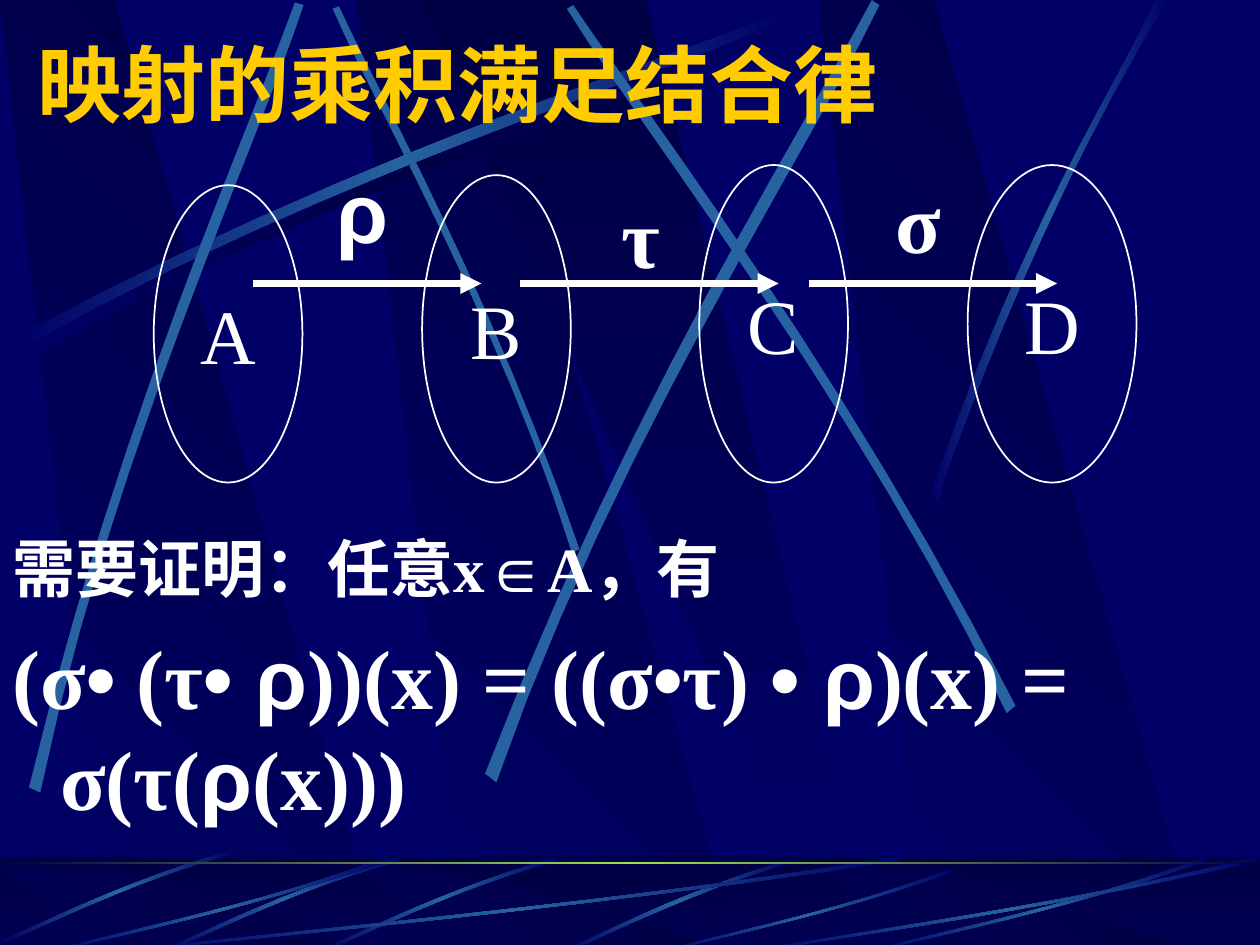
from lxml.etree import SubElement
from pptx import Presentation
from pptx.dml.color import RGBColor
from pptx.enum.shapes import MSO_CONNECTOR, MSO_SHAPE
from pptx.enum.text import MSO_ANCHOR, PP_ALIGN
from pptx.oxml.ns import qn
from pptx.util import Inches, Pt

NIGHT, NAVY, BEAM, LIME = "000044", "000066", "2663A0", "9CE157"
GOLD, WHITE = "FFCC00", "FFFFFF"
SERIF, SANS = "Times New Roman", "Arial"
FADE = [NAVY, BEAM, NAVY]
tint = RGBColor.from_string

deck = Presentation()
deck.slide_width, deck.slide_height = Inches(10), Inches(7.5)
col, row = deck.slide_width / 10, deck.slide_height / 7.5
slide = deck.slides.add_slide(deck.slide_layouts[5])
shapes = slide.shapes
slide.background.fill.solid()
slide.background.fill.fore_color.rgb = tint(NAVY)


def paint(shape, hues, angle=0):
    shape.shadow.inherit = False
    shape.line.fill.background()
    if len(hues) == 1:
        shape.fill.solid()
        shape.fill.fore_color.rgb = tint(hues[0])
        return
    shape.fill.gradient()
    shape.fill.gradient_angle = angle
    stops = shape.element.spPr.find(qn("a:gradFill")).find(qn("a:gsLst"))
    for old in list(stops):
        stops.remove(old)
    for i, hue in enumerate(hues):
        stop = SubElement(stops, qn("a:gs"), pos=str(100000 * i // (len(hues) - 1)))
        SubElement(stop, qn("a:srgbClr"), val=hue)


def trace(dots, hues, angle=0, bent=True):
    if bent:
        edge = []
        for a, b, c, d in (dots[:4], dots[4:]):
            for step in range(13):
                t = step / 12
                u = 1 - t
                edge.append([u**3 * a[k] + 3 * u * u * t * b[k] + 3 * u * t * t * c[k] + t**3 * d[k]
                             for k in (0, 1)])
        dots = edge
    dots = [(x * col, y * row) for x, y in dots]
    pen = shapes.build_freeform(*dots[0])
    pen.add_line_segments(dots[1:], close=True)
    paint(pen.convert_to_shape(), hues, angle)


for top, end in ((0, 7.52), (6.88, 7.55)):
    if top:
        floor = shapes.add_shape(MSO_SHAPE.RECTANGLE, 0, int(6.8 * row), int(10 * col), int(0.75 * row))
        paint(floor, [NIGHT, NAVY], 270)
    for x in (2.83, 0, 6.5):
        trace([(x + 0.86, end), (x + 3.02, end), (x + 0.91, top), (x, top)], [NIGHT, NAVY], 225, False)
    trace([(3.33, top), (6.58, end), (6.94, end), (5.13, top)], [NIGHT, NAVY], 270, False)
    if top:
        continue
    rise = [(0.14, 2.67), (2.78, 1.25), (5.18, 0.51), (6.2, 0.1),
            (6.23, 0.16), (5.22, 0.61), (2.48, 1.43), (0.17, 2.77)]
    trace([(x + 0.06, y + 0.08) for x, y in rise], [NAVY, NIGHT, NAVY])
    trace([(4.6, 4.36), (3.91, 2.34), (3.02, 0.77), (2.69, 0.05),
           (2.64, 0.07), (2.95, 0.79), (3.98, 2.58), (4.54, 4.39)], [BEAM])
    trace(rise, FADE)
    trace([(0.23, 6.25), (0.93, 3.34), (1.97, 1.05), (2.34, 0.02),
           (2.41, 0.04), (2.07, 1.09), (0.86, 3.68), (0.32, 6.29)], [BEAM])
    trace([(3.85, 6.14), (4.98, 3.2), (6.38, 1.02), (6.92, 0),
           (6.98, 0.04), (6.49, 1.08), (4.86, 3.55), (3.94, 6.21)], [BEAM])
    trace([(8.06, 5.6), (6.7, 2.93), (5.16, 0.95), (4.55, 0.04),
           (4.5, 0.07), (5.07, 1.01), (6.85, 3.25), (7.99, 5.66)], [BEAM])
    trace([(7.38, 3.94), (8.14, 1.73), (8.88, 0.66), (9.17, 0),
           (9.27, 0), (8.36, 1.45), (7.69, 3.22), (7.44, 3.97)], FADE)

veil = shapes.add_shape(MSO_SHAPE.RECTANGLE, 0, int(6.8 * row), int(10 * col), int(0.75 * row))
paint(veil, [NIGHT])
SubElement(veil.element.spPr.find(qn("a:solidFill"))[0], qn("a:alpha"), val="50000")

trace([(6.27, 6.82), (5.37, 7.09), (4.77, 7.42), (4.48, 7.54),
       (4.53, 7.55), (4.9, 7.37), (5.71, 7), (6.28, 6.85)], FADE)
arc = [(4.42, 6.8), (3.55, 7.05), (2.87, 7.4), (2.56, 7.53),
       (2.57, 7.55), (2.88, 7.43), (3.65, 7.03), (4.44, 6.83)]
for left, lift in ((0, 0), (1.25, 0), (2.56, 0.06)):
    trace([(x - left, y - lift) for x, y in arc], FADE)
sweep = [(1, 0.04), (0.57, 0.57), (0.17, 0.85), (0.01, 1),
         (0, 0.99), (0.17, 0.81), (0.62, 0.51), (0.99, 0)]
for left, top, wide in ((1, 6.8, 6.17), (0.42, 6.8, 2.67), (5.27, 6.89, 2.31), (6.92, 6.8, 2.67), (6, 6.8, 4)):
    trace([(left + x * wide, top + y * (7.55 - top)) for x, y in sweep], FADE)
rule = shapes.add_shape(MSO_SHAPE.RECTANGLE, 0, int(6.84 * row), int(10 * col), int(0.02 * row))
paint(rule, [NIGHT, LIME, NIGHT])

title = shapes.title
title.element.getparent().append(title.element)
title.left, title.top = int(0.2 * col), int(0.21 * row)
title.width, title.height = int(8.5 * col), int(0.9 * row)
title.text_frame.text = "映射的乘积满足结合律"
title.text_frame.vertical_anchor = MSO_ANCHOR.MIDDLE
head = title.text_frame.paragraphs[0]
head.alignment = PP_ALIGN.LEFT
font = head.runs[0].font
font.name, font.size, font.bold = "Montserrat", Pt(48), True
font.color.rgb = tint(GOLD)

body = shapes.add_textbox(0, int(4.15 * row), int(9.67 * col), int(2.52 * row)).text_frame
body.word_wrap = True
claim = [("需要证明：任意x∈A，有", SERIF)]
proof = [("(σ", SERIF), ("•", SANS), (" (τ", SERIF), ("• ρ", SANS), ("))(x) = ((σ", SERIF), ("•", SANS),
         ("τ) ", SERIF), ("• ρ", SANS), (")(x) = σ(τ(", SERIF), ("ρ", SANS), ("(x)))", SERIF)]
for para, parts, size, gap in ((body.paragraphs[0], claim, 36, 0), (body.add_paragraph(), proof, 48, 12)):
    props = para._p.get_or_add_pPr()
    props.set("marL", str(Inches(0.38)))
    props.set("indent", str(-Inches(0.38)))
    para.space_before = Pt(gap)
    for text, face in parts:
        run = para.add_run()
        run.text = text
        font = run.font
        font.name, font.size, font.bold = face, Pt(size), True
        font.color.rgb = tint(WHITE)

sets = [("A", 1.22, 1.47, 1.18, 2.36), ("B", 3.35, 1.39, 1.18, 2.44),
        ("C", 5.55, 1.31, 1.18, 2.52), ("D", 7.68, 1.31, 1.34, 2.52)]
maps = [("ρ", 2.56, 1.31, 0.63, 0.71), ("τ", 4.61, 1.55, 0.95, 0.63), ("σ", 6.81, 1.31, 0.95, 0.87)]
for text, left, top, wide, high in sets + maps:
    area = int(left * col), int(top * row), int(wide * col), int(high * row)
    oval = text in "ABCD"
    if oval:
        item = shapes.add_shape(MSO_SHAPE.OVAL, *area)
        item.shadow.inherit = False
        item.fill.background()
        item.line.color.rgb = tint(WHITE)
        item.line.width = Pt(1)
    else:
        item = shapes.add_textbox(*area)
    frame = item.text_frame
    frame.text = text
    frame.word_wrap = False
    frame.vertical_anchor = MSO_ANCHOR.MIDDLE
    frame.paragraphs[0].alignment = PP_ALIGN.CENTER
    font = frame.paragraphs[0].runs[0].font
    font.name = SANS if text == "ρ" else SERIF
    font.size, font.bold = Pt(44 if oval else 48), not oval
    font.color.rgb = tint(WHITE)

for start, end in ((2.01, 3.82), (4.13, 6.18), (6.42, 8.39)):
    level = int(2.25 * row)
    arrow = shapes.add_connector(MSO_CONNECTOR.STRAIGHT, int(start * col), level, int(end * col), level)
    arrow.line.color.rgb = tint(WHITE)
    arrow.line.width = Pt(4)
    SubElement(arrow.line._get_or_add_ln(), qn("a:tailEnd"), type="triangle")
    SubElement(arrow.element.spPr, qn("a:effectLst"))

deck.save("out.pptx")
